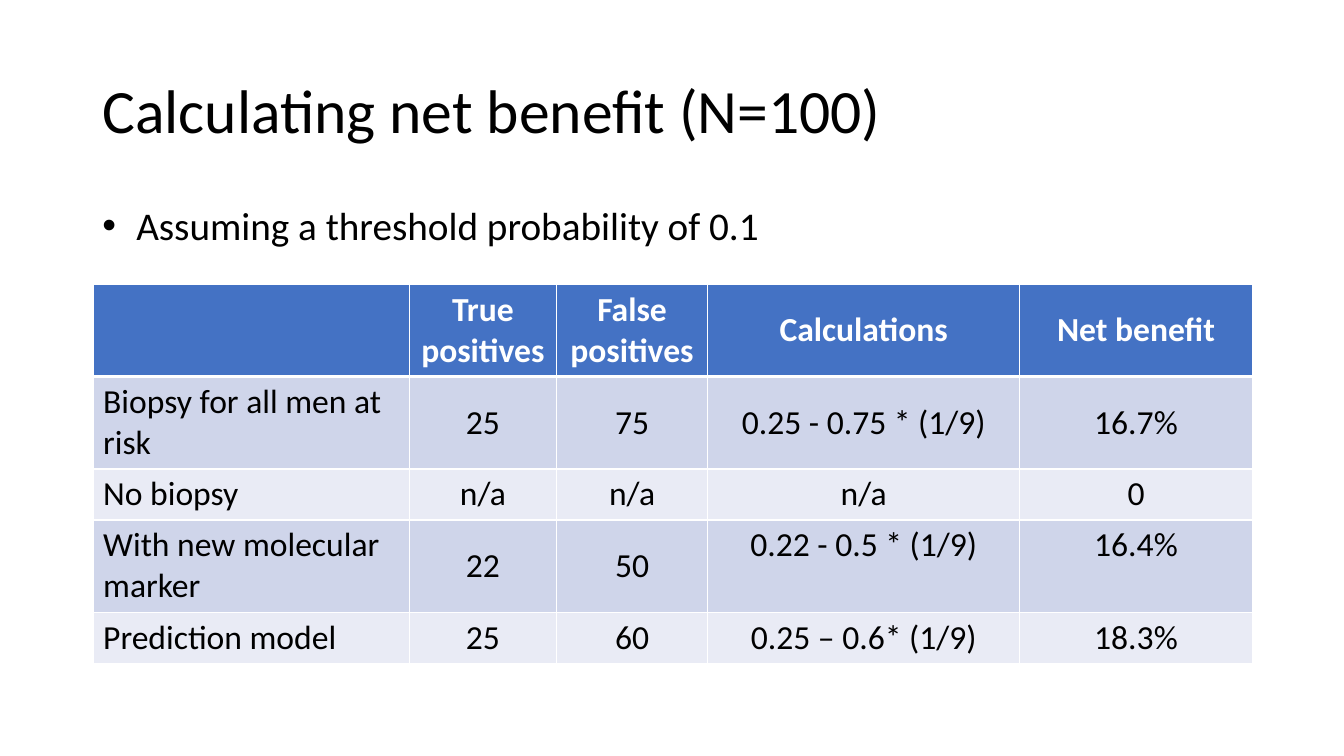
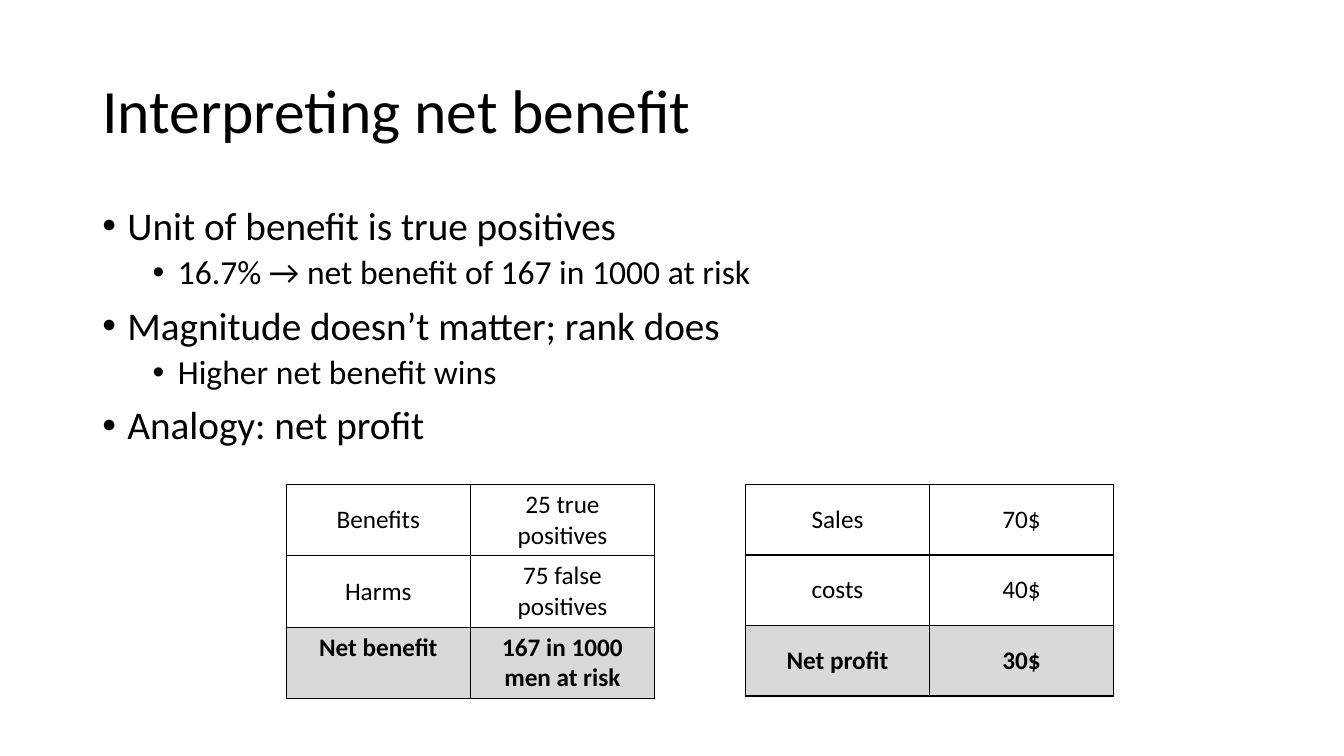
from lxml.etree import SubElement
from pptx import Presentation
from pptx.dml.color import RGBColor
from pptx.enum.text import MSO_ANCHOR, PP_ALIGN
from pptx.oxml import parse_xml
from pptx.oxml.ns import nsdecls, qn
from pptx.util import Pt

FONT = "Calibri"
COLORS = {
    "text": "000000",
    "white": "FFFFFF",
    "header": "4472C4",
    "band_dark": "CFD5EA",
    "band_light": "E9EBF5",
    "total": "D9D9D9",
}

# Boxes shared by the slides: left, top, width, height in points
TITLE_BOX = (66, 29, 828, 104)
BODY_BOX = (66, 144, 828, 343)

# Bullet levels: font size, left margin, space before
LEVELS = [(28, 18, 10), (24, 54, 5)]


def write(paragraph, text, size, color="text", bold=False, align=PP_ALIGN.LEFT,
          line_spacing=None, space_before=0):
    """Fill a paragraph with one formatted run."""
    paragraph.alignment = align
    paragraph.space_before = Pt(space_before)
    if line_spacing:
        paragraph.line_spacing = line_spacing
    run = paragraph.add_run()
    run.text = text
    run.font.name = FONT
    run.font.size = Pt(size)
    run.font.bold = bold
    run.font.color.rgb = RGBColor.from_string(COLORS[color])


def add_text_frame(slide, box, anchor=MSO_ANCHOR.TOP):
    frame = slide.shapes.add_textbox(*map(Pt, box)).text_frame
    frame.word_wrap = True
    frame.vertical_anchor = anchor
    return frame


def add_title(slide, text):
    frame = add_text_frame(slide, TITLE_BOX, MSO_ANCHOR.MIDDLE)
    write(frame.paragraphs[0], text, size=44, line_spacing=0.9)


def add_bullets(slide, items, box=BODY_BOX, extra_margin=0):
    """Write (level, text) items; extra_margin widens the gap after the bullet."""
    frame = add_text_frame(slide, box)
    for index, (level, text) in enumerate(items):
        paragraph = frame.add_paragraph() if index else frame.paragraphs[0]
        size, margin, space_before = LEVELS[level]
        paragraph.level = level
        write(paragraph, text, size, line_spacing=0.9, space_before=space_before)
        properties = paragraph._p.get_or_add_pPr()
        properties.set("marL", str(Pt(margin + extra_margin)))
        properties.set("indent", str(-Pt(18 + extra_margin)))
        SubElement(properties, qn("a:buFont")).set("typeface", "Arial")
        SubElement(properties, qn("a:buChar")).set("char", "•")


def set_borders(cell, color, top=1, bottom=1):
    properties = cell._tc.get_or_add_tcPr()
    widths = {"lnL": 1, "lnR": 1, "lnT": top, "lnB": bottom}
    for index, (side, width) in enumerate(widths.items()):
        properties.insert(index, parse_xml(
            f'<a:{side} {nsdecls("a")} w="{Pt(width)}"><a:solidFill>'
            f'<a:srgbClr val="{COLORS[color]}"/></a:solidFill></a:{side}>'))


def add_plain_table(slide, left, top, widths, heights):
    """Add a table without the style's header and banding."""
    table = slide.shapes.add_table(
        len(heights), len(widths), Pt(left), Pt(top),
        Pt(sum(widths)), Pt(sum(heights))).table
    table.first_row = table.horz_banding = False
    for column, width in zip(table.columns, widths):
        column.width = Pt(width)
    for row, height in zip(table.rows, heights):
        row.height = Pt(height)
    return table


def fill_cell(cell, text, size, fill=None, anchor=MSO_ANCHOR.MIDDLE, **text_format):
    if fill:
        cell.fill.solid()
        cell.fill.fore_color.rgb = RGBColor.from_string(COLORS[fill])
    else:
        cell.fill.background()
    cell.vertical_anchor = anchor
    write(cell.text_frame.paragraphs[0], text, size, **text_format)


def add_results_table(slide, left, top, rows, top_cells):
    """Add the banded table; top_cells are anchored at the top."""
    table = add_plain_table(slide, left, top, (226, 105, 108, 223, 166),
                            (66, 66, 36.5, 66, 36.5))
    for row_index, values in enumerate(rows):
        is_header = row_index == 0
        band = "band_dark" if row_index % 2 else "band_light"
        for column_index, text in enumerate(values):
            cell = table.cell(row_index, column_index)
            at_top = column_index == 0 or (row_index, column_index) in top_cells
            fill_cell(cell, text, size=24,
                      fill="header" if is_header else band,
                      anchor=MSO_ANCHOR.TOP if at_top else MSO_ANCHOR.MIDDLE,
                      color="white" if is_header else "text",
                      bold=is_header,
                      align=PP_ALIGN.CENTER if column_index else PP_ALIGN.LEFT)
            # Thick rule between the header and the body
            set_borders(cell, "white", top=3 if row_index == 1 else 1,
                        bottom=3 if is_header else 1)


def add_balance_table(slide, left, top, row_height, rows, top_cells=()):
    """Add a two-column table whose last row is a shaded total."""
    table = add_plain_table(slide, left, top, (131.5, 131.5),
                            [row_height] * len(rows))
    for row_index, values in enumerate(rows):
        is_total = row_index == len(rows) - 1
        for column_index, text in enumerate(values):
            cell = table.cell(row_index, column_index)
            at_top = (row_index, column_index) in top_cells
            fill_cell(cell, text, size=18, fill="total" if is_total else None,
                      anchor=MSO_ANCHOR.TOP if at_top else MSO_ANCHOR.MIDDLE,
                      bold=is_total, align=PP_ALIGN.CENTER)
            set_borders(cell, "text")


def build_calculation_slide(slide):
    add_title(slide, "Calculating net benefit (N=100)")
    add_bullets(slide, [(0, "Assuming a threshold probability of 0.1")],
                extra_margin=6.3)
    add_results_table(slide, 66.5, 203, [
        ("", "True positives", "False positives", "Calculations", "Net benefit"),
        ("Biopsy for all men at risk", "25", "75", "0.25 - 0.75 * (1/9)", "16.7%"),
        ("No biopsy", "n/a", "n/a", "n/a", "0"),
        ("With new molecular marker", "22", "50", "0.22 - 0.5 * (1/9)", "16.4%"),
        ("Prediction model", "25", "60", "0.25 – 0.6* (1/9)", "18.3%"),
    ], top_cells={(3, 3), (3, 4)})


def build_interpretation_slide(slide):
    add_title(slide, "Interpreting net benefit")
    add_bullets(slide, [
        (0, "Unit of benefit is true positives"),
        (1, "16.7% → net benefit of 167 in 1000 at risk"),
        (0, "Magnitude doesn’t matter; rank does"),
        (1, "Higher net benefit wins"),
        (0, "Analogy: net profit"),
    ])
    add_balance_table(slide, 204.5, 346, 51, [
        ("Benefits", "25 true positives"),
        ("Harms", "75 false positives"),
        ("Net benefit", "167 in 1000 men at risk"),
    ], top_cells={(2, 0)})
    add_balance_table(slide, 532.5, 346, 50.4, [
        ("Sales", "70$"),
        ("costs", "40$"),
        ("Net profit", "30$"),
    ])


def main():
    presentation = Presentation()
    presentation.slide_width = Pt(960)
    presentation.slide_height = Pt(540)
    blank_layout = presentation.slide_layouts[6]
    for build in (build_calculation_slide, build_interpretation_slide):
        build(presentation.slides.add_slide(blank_layout))
    presentation.save("out.pptx")


if __name__ == "__main__":
    main()
